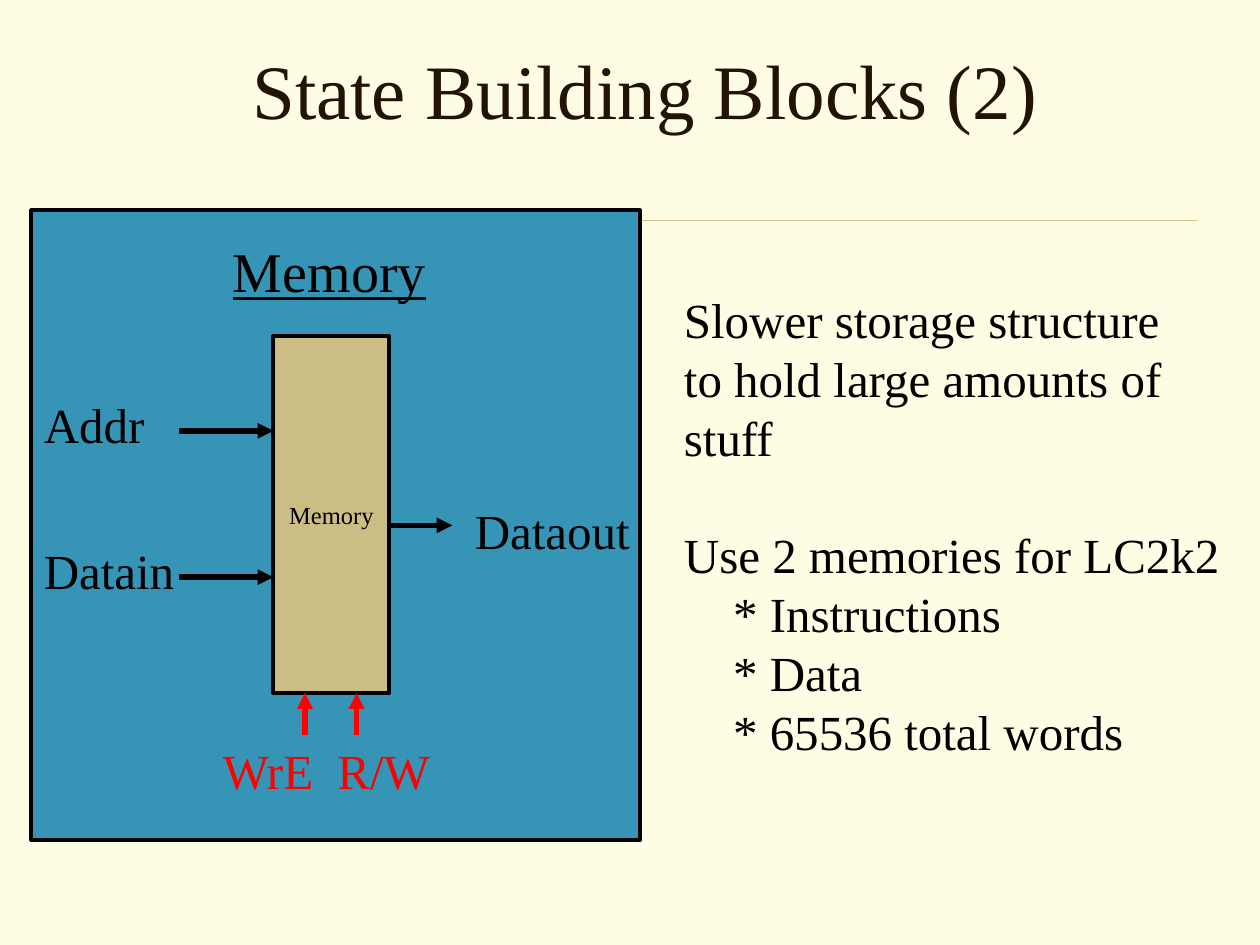
from dataclasses import dataclass

from lxml.etree import SubElement
from pptx import Presentation
from pptx.dml.color import RGBColor
from pptx.enum.shapes import MSO_CONNECTOR, MSO_SHAPE
from pptx.enum.text import MSO_ANCHOR, MSO_AUTO_SIZE, PP_ALIGN
from pptx.oxml.ns import qn
from pptx.util import Inches, Pt


@dataclass(frozen=True)
class Theme:
    """Colours, type sizes and line widths of the slide."""
    paper: str = "FEFDE3"
    heading: str = "221304"
    ink: str = "000000"
    control: str = "FF0000"
    panel: str = "3694B6"
    sand: str = "CBBD83"
    font: str = "Times New Roman"
    title_size: int = 44
    head_size: int = 32
    body_size: int = 28
    label_size: int = 14
    leading: float = 1.2
    border: float = 2.25
    arrow: float = 3
    rule: float = 0.25


THEME = Theme()


def colour(value):
    """Turn a hex string into a colour."""
    return RGBColor.from_string(value)


def write(para, text, size=THEME.body_size, ink=THEME.ink, underline=None,
          align=PP_ALIGN.LEFT, indent=0, before=0):
    """Fill a paragraph with one formatted span."""
    if indent:
        para._p.get_or_add_pPr().set("marL", str(Inches(indent)))
    para.alignment = align
    para.line_spacing = Pt(size * THEME.leading)
    para.space_before = Pt(before)
    span = para.add_run()
    span.text = text
    span.font.name = THEME.font
    span.font.size = Pt(size)
    span.font.underline = underline
    span.font.color.rgb = colour(ink)


def add_text_box(page, left, top, width, height):
    """Add an empty unwrapped text box that grows with its text."""
    box = page.shapes.add_textbox(
        Inches(left), Inches(top), Inches(width), Inches(height))
    box.text_frame.word_wrap = False
    box.text_frame.auto_size = MSO_AUTO_SIZE.SHAPE_TO_FIT_TEXT
    return box


def add_label(page, left, top, width, height, text, **format):
    """Add a one-line label."""
    box = add_text_box(page, left, top, width, height)
    write(box.text_frame.paragraphs[0], text, **format)


def add_block(page, left, top, width, height, fill):
    """Add a filled rectangle with a black border."""
    block = page.shapes.add_shape(
        MSO_SHAPE.RECTANGLE,
        Inches(left), Inches(top), Inches(width), Inches(height))
    block.shadow.inherit = False
    block.fill.solid()
    block.fill.fore_color.rgb = colour(fill)
    block.line.color.rgb = colour(THEME.ink)
    block.line.width = Pt(THEME.border)
    return block


def add_line(page, start, end, ink=THEME.ink, width=THEME.arrow, arrow=True):
    """Draw a straight line, with an arrowhead at its end if wanted."""
    line = page.shapes.add_connector(
        MSO_CONNECTOR.STRAIGHT, *(Inches(value) for value in start + end))
    line.line.color.rgb = colour(ink)
    line.line.width = Pt(width)
    if arrow:
        SubElement(line.line._get_or_add_ln(), qn("a:tailEnd"), type="triangle")
    SubElement(line._element.spPr, qn("a:effectLst"))


def add_title(page, left, top, width, height, text):
    """Place the centred title and the thin rule below it."""
    rule_top = top + 1.67
    add_line(page, (left + 0.53, rule_top), (left + 8.92, rule_top),
             ink=THEME.sand, width=THEME.rule, arrow=False)
    box = page.shapes.add_textbox(
        Inches(left), Inches(top), Inches(width), Inches(height))
    box.text_frame.word_wrap = True
    box.text_frame.vertical_anchor = MSO_ANCHOR.MIDDLE
    write(box.text_frame.paragraphs[0], text, size=THEME.title_size,
          ink=THEME.heading, align=PP_ALIGN.CENTER)


def add_memory_diagram(page, left, top, width, height):
    """Place the panel with the memory block, its signals and their labels."""
    add_block(page, left, top, width, height, THEME.panel)
    add_label(page, left + 1.5, top + 0.16, 1.73, 0.63, "Memory",
              size=THEME.head_size, underline=True)

    block_left, block_top = left + 1.92, top + 1
    block_width, block_height = 0.92, 2.83
    block_right, block_bottom = block_left + block_width, block_top + block_height
    block = add_block(page, block_left, block_top, block_width, block_height,
                      THEME.sand)
    block.text_frame.word_wrap = False
    block.text_frame.vertical_anchor = MSO_ANCHOR.MIDDLE
    write(block.text_frame.paragraphs[0], "Memory", size=THEME.label_size,
          align=PP_ALIGN.CENTER)

    for text, label_width, drop in (("Addr", 1, 1.75), ("Datain", 1.24, 2.91)):
        level = top + drop
        add_line(page, (block_left - 0.75, level), (block_left, level))
        add_label(page, left, level - 0.335, label_width, 0.57, text)

    level = top + 2.5
    add_line(page, (block_right, level), (block_right + 0.5, level))
    add_label(page, block_right + 0.58, level - 0.25, 1.43, 0.57, "Dataout")

    foot = block_bottom + 0.33
    for text, arrow_shift, label_shift in (("WrE", 0.25, -0.5), ("R/W", 0.66, 0.41)):
        across = block_left + arrow_shift
        add_line(page, (across, foot), (across, block_bottom), ink=THEME.control)
        add_label(page, block_left + label_shift, foot, 0.94, 0.57, text,
                  ink=THEME.control)


def add_notes(page, left, top, width, height, groups):
    """Place groups of lines, set apart by the height of one line."""
    frame = add_text_box(page, left, top, width, height).text_frame
    para = frame.paragraphs[0]
    for group_index, lines in enumerate(groups):
        for line_index, text in enumerate(lines):
            starts_group = line_index == 0 and group_index > 0
            if group_index or line_index:
                para = frame.add_paragraph()
            write(para, text,
                  indent=0.39 if text.startswith("*") else 0,
                  before=THEME.body_size * THEME.leading if starts_group else 0)


def main():
    """Build and save the slide."""
    deck = Presentation()
    deck.slide_width, deck.slide_height = Inches(10), Inches(7.5)
    page = deck.slides.add_slide(deck.slide_layouts[6])
    page.background.fill.solid()
    page.background.fill.fore_color.rgb = colour(THEME.paper)
    add_title(page, 0.58, 0.08, 9.08, 1.25, "State Building Blocks (2)")
    add_memory_diagram(page, 0.25, 1.67, 4.83, 5)
    add_notes(page, 5.33, 2.25, 4.45, 3.84, (
        ("Slower storage structure", "to hold large amounts of", "stuff"),
        ("Use 2 memories for LC2k2", "* Instructions", "* Data",
         "* 65536 total words"),
    ))
    deck.save("out.pptx")


if __name__ == "__main__":
    main()
